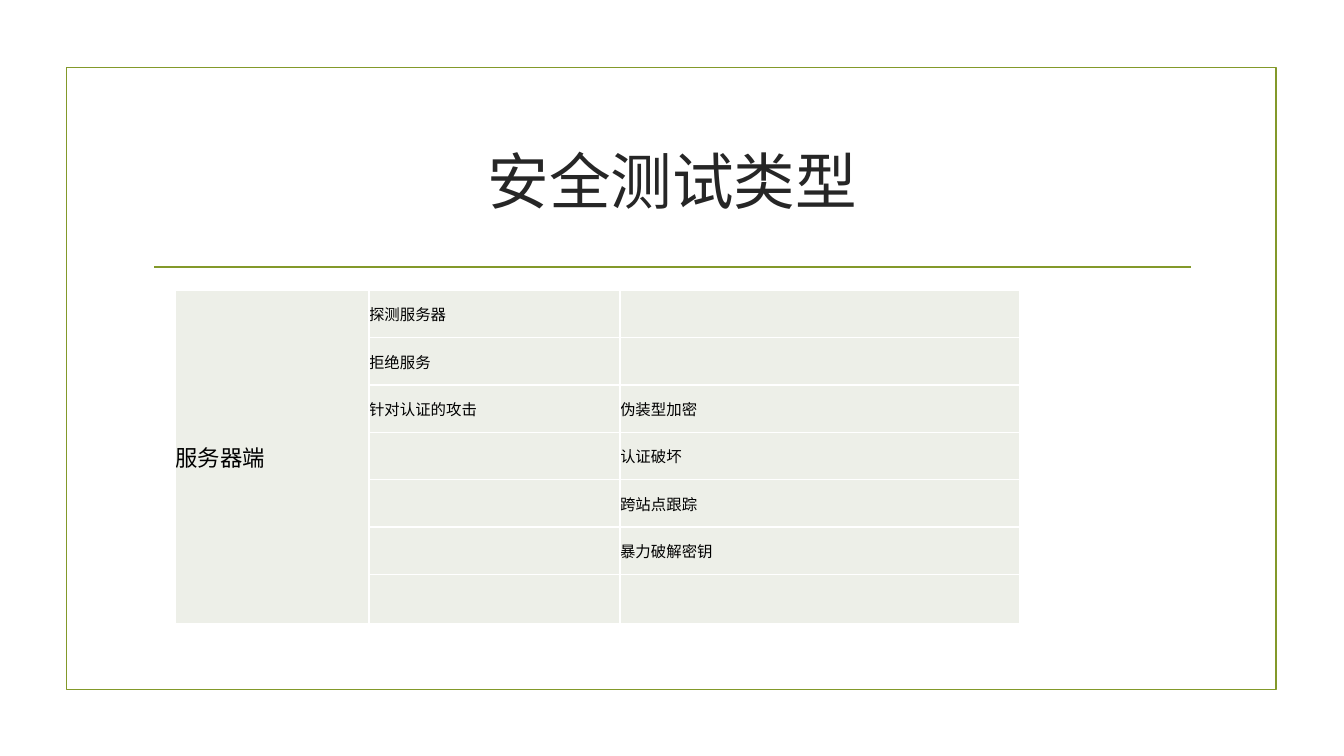
"""Build the slide on security test types for the server side."""
from lxml import etree
from pptx import Presentation
from pptx.dml.color import RGBColor
from pptx.enum.shapes import MSO_CONNECTOR, MSO_SHAPE
from pptx.enum.text import MSO_ANCHOR, PP_ALIGN
from pptx.oxml.ns import qn
from pptx.util import Inches, Pt

RECT = MSO_SHAPE.RECTANGLE
STRAIGHT = MSO_CONNECTOR.STRAIGHT
MIDDLE = MSO_ANCHOR.MIDDLE
CENTER = PP_ALIGN.CENTER
LEFT = PP_ALIGN.LEFT

GREEN = "83992A"
DARK = "262626"
BLACK = "000000"
WHITE = "FFFFFF"
PALE = "EDEFE8"
TITLE_FONT = "Times New Roman"
TABLE_FONT = "Noto Sans CJK SC"


def rgb(color):
    return RGBColor.from_string(color)


def style(p, size, color, font, align):
    p.alignment = align
    p.font.size = Pt(size)
    p.font.bold = False
    p.font.name = font
    p.font.color.rgb = rgb(color)


prs = Presentation()
prs.slide_width = Inches(13.33)
prs.slide_height = Inches(7.5)
s = prs.slides.add_slide(prs.slide_layouts[5])

frame = s.shapes.add_shape(RECT, Inches(0.66), Inches(0.67), Inches(12), Inches(6.17))
frame.shadow.inherit = False
frame.fill.background()

rule = s.shapes.add_connector(STRAIGHT, Inches(1.53), Inches(2.65), Inches(11.81), Inches(2.65))
etree.SubElement(rule._element.spPr, qn("a:effectLst"))

for sp in (frame, rule):
    sp.line.color.rgb = rgb(GREEN)
    sp.line.width = Pt(1.25)

title = s.shapes.title
title.left, title.top = Inches(1.42), Inches(1.07)
title.width, title.height = Inches(10.5), Inches(1.43)
tf = title.text_frame
tf.text = "安全测试类型"
tf.vertical_anchor = MIDDLE
style(tf.paragraphs[0], 44, DARK, TITLE_FONT, CENTER)

rows = [
    ("服务器端", "探测服务器", ""),
    ("", "拒绝服务", ""),
    ("", "针对认证的攻击", "伪装型加密"),
    ("", "", "认证破坏"),
    ("", "", "跨站点跟踪"),
    ("", "", "暴力破解密钥"),
    ("", "", ""),
]
col_widths = [1.92, 2.49, 3.96]
row_heights = [0.47] * 6 + [0.49]

table = s.shapes.add_table(
    len(rows), len(col_widths), Inches(1.74), Inches(2.88),
    Inches(sum(col_widths)), Inches(sum(row_heights))).table
table.first_row = False
table.horz_banding = False
for column, width in zip(table.columns, col_widths):
    column.width = Inches(width)
for row, height in zip(table.rows, row_heights):
    row.height = Inches(height)

for i, texts in enumerate(rows):
    for j, text in enumerate(texts):
        cell = table.cell(i, j)
        cell.text = text
        cell.vertical_anchor = MIDDLE
        cell.margin_left = cell.margin_right = 0
        cell.margin_top = cell.margin_bottom = 0
        cell.fill.solid()
        cell.fill.fore_color.rgb = rgb(PALE)
        style(cell.text_frame.paragraphs[0], 11 if j else 16, BLACK, TABLE_FONT, LEFT)
        tc_pr = cell._tc.get_or_add_tcPr()
        for k, side in enumerate(("lnL", "lnR", "lnT", "lnB")):
            ln = etree.Element(qn(f"a:{side}"), w=str(Pt(1)))
            fill = etree.SubElement(ln, qn("a:solidFill"))
            etree.SubElement(fill, qn("a:srgbClr"), val=WHITE)
            tc_pr.insert(k, ln)

table.cell(0, 0).merge(table.cell(len(rows) - 1, 0))

prs.save("out.pptx")
